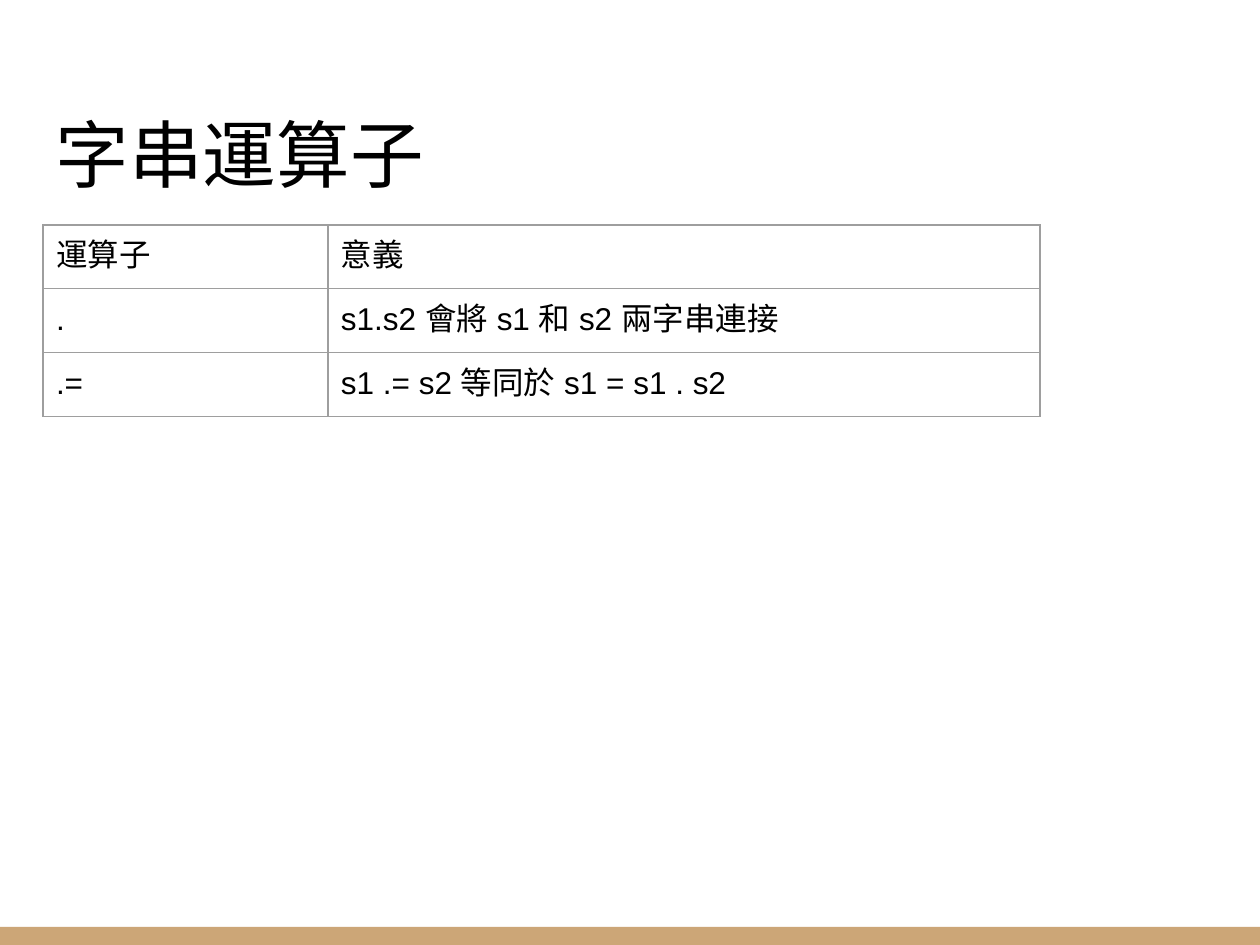
from dataclasses import dataclass

from lxml.etree import SubElement
from pptx import Presentation
from pptx.dml.color import RGBColor
from pptx.enum.shapes import MSO_SHAPE as Shape
from pptx.enum.text import MSO_ANCHOR as Anchor
from pptx.oxml.ns import qn
from pptx.util import Emu, Pt

PX = 914400 // 126
INSET = 13
COLORS = {"text": "000000", "bar": "CCA677", "border": "9E9E9E"}
COLUMNS = (285, 712)
ROW_HEIGHT = 53


@dataclass
class Operator:
    symbol: str
    meaning: str


ROWS = [
    Operator("運算子", "意義"),
    Operator(".", "s1.s2 會將 s1 和 s2 兩字串連接"),
    Operator(".=", "s1 .= s2 等同於 s1 = s1 . s2"),
]


def px(n: int) -> Emu:
    return Emu(n * PX)


def rgb(name: str) -> RGBColor:
    return RGBColor.from_string(COLORS[name])


def set_text(tf, text: str, font: str, size: int) -> None:
    tf.text = text
    r = tf.paragraphs[0].runs[0]
    r.font.size = Pt(size)
    r.font.bold = False
    r.font.color.rgb = rgb("text")
    r.font.name = font
    SubElement(r.font._element, qn("a:ea"), typeface=font)


def set_insets(box) -> None:
    """Give a text frame or table cell the same margin on every side."""
    box.margin_left = box.margin_right = px(INSET)
    box.margin_top = box.margin_bottom = px(INSET)


def set_borders(cell) -> None:
    tc_pr = cell._tc.get_or_add_tcPr()
    for i, side in enumerate(("lnL", "lnR", "lnT", "lnB")):
        ln = tc_pr.makeelement(qn(f"a:{side}"), {"w": str(Pt(0.75))})
        fill = SubElement(ln, qn("a:solidFill"))
        SubElement(fill, qn("a:srgbClr"), val=COLORS["border"])
        tc_pr.insert(i, ln)


def add_bar(s) -> None:
    sp = s.shapes.add_shape(Shape.RECTANGLE, 0, px(927), px(1260), px(18))
    sp.shadow.inherit = False
    sp.fill.solid()
    sp.fill.fore_color.rgb = rgb("bar")
    sp.line.fill.background()


def add_title(s, text: str) -> None:
    tf = s.shapes.add_textbox(px(43), px(58), px(1174), px(152)).text_frame
    tf.word_wrap = True
    tf.vertical_anchor = Anchor.BOTTOM
    set_insets(tf)
    set_text(tf, text, "Lato", 42)


def add_operator_table(s, rows: list[Operator]) -> None:
    table = s.shapes.add_table(len(rows), len(COLUMNS), px(43), px(225),
                               px(sum(COLUMNS)), px(ROW_HEIGHT * len(rows))).table
    table.first_row = table.horz_banding = False
    for column, width in zip(table.columns, COLUMNS):
        column.width = px(width)
    for i, row in enumerate(rows):
        for j, text in enumerate((row.symbol, row.meaning)):
            cell = table.cell(i, j)
            cell.fill.background()
            set_insets(cell)
            set_borders(cell)
            set_text(cell.text_frame, text, "Arial", 18)


def main() -> None:
    prs = Presentation()
    prs.slide_width, prs.slide_height = px(1260), px(945)
    s = prs.slides.add_slide(prs.slide_layouts[6])
    add_bar(s)
    add_title(s, "字串運算子")
    add_operator_table(s, ROWS)
    prs.save("out.pptx")


if __name__ == "__main__":
    main()
